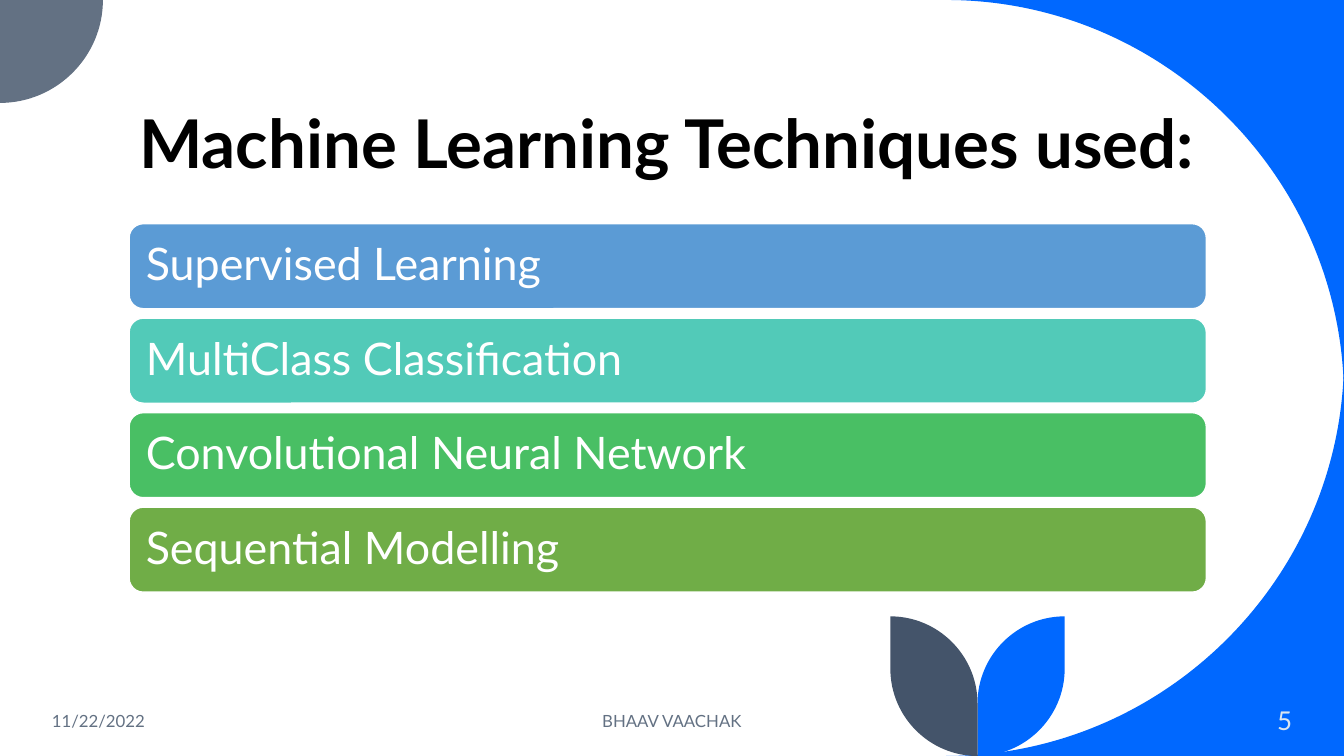
from pptx import Presentation
from pptx.dml.color import RGBColor
from pptx.enum import shapes, text
from pptx.oxml import ns, xmlchemy

PX = 9525
FONT = "Lato"
BLUE = RGBColor(0x00, 0x68, 0xFF)
SLATE = RGBColor(0x63, 0x71, 0x83)
NAVY = RGBColor(0x44, 0x54, 0x6A)
PALE = RGBColor(0xDA, 0xE5, 0xEF)
BLACK = RGBColor(0x00, 0x00, 0x00)
WHITE = RGBColor(0xFF, 0xFF, 0xFF)

WIDTH, HEIGHT = 1280, 720
ROUNDNESS = 0.55  # handle length of a quarter circle, as a share of its radius
TECHNIQUES = [
    ("Supervised Learning", RGBColor(0x5B, 0x9B, 0xD5)),
    ("MultiClass Classification", RGBColor(0x52, 0xCA, 0xB8)),
    ("Convolutional Neural Network", RGBColor(0x49, 0xBF, 0x64)),
    ("Sequential Modelling", RGBColor(0x70, 0xAD, 0x47)),
]


def px(*lengths):
    return [round(length * PX) for length in lengths]


def quarter(start, corner, end):
    """Two handles and the end of a quarter circle that bulges towards corner."""
    handles = [tuple(p + ROUNDNESS * (c - p) for p, c in zip(point, corner))
               for point in (start, end)]
    return handles + [end]


def add_outline(slide, color, start, *segments):
    """Closed outline; a segment of one point is a line, one of three is a curve."""
    builder = slide.shapes.build_freeform(*px(*start))
    builder.add_line_segments([px(*point) for segment in segments for point in segment])
    shape = builder.convert_to_shape()
    lines = iter(shape.element.findall(".//" + ns.qn("a:lnTo")))
    for segment in segments:
        line = next(lines)
        if len(segment) == 3:
            curve = xmlchemy.OxmlElement("a:cubicBezTo")
            line.addprevious(curve)
            for piece in (line, next(lines), next(lines)):
                curve.append(piece[0])
                piece.getparent().remove(piece)
    shape.shadow.inherit = False
    shape.fill.solid()
    shape.fill.fore_color.rgb = color
    shape.line.fill.background()


def style_text(frame, words, size, color, align=text.PP_ALIGN.LEFT, spacing=None):
    frame.word_wrap = True
    frame.auto_size = text.MSO_AUTO_SIZE.NONE
    frame.vertical_anchor = text.MSO_ANCHOR.MIDDLE
    frame.text = words
    paragraph = frame.paragraphs[0]
    paragraph.alignment = align
    paragraph.line_spacing = spacing
    font = paragraph.font
    font.name = FONT
    font.size = round(size * 12700)
    font.color.rgb = color


def add_corner(slide, color, corner, start, bulge, end):
    add_outline(slide, color, corner, [start], quarter(start, bulge, end), [corner])


def add_corners(slide, left, top, right, bottom):
    large, small = 379, 98
    inner = right - large
    add_corner(slide, BLUE, (right, top), (inner, top), (right, top), (right, top + large))
    add_corner(slide, BLUE, (right, bottom), (right, bottom - large), (right, bottom),
               (inner, bottom))
    add_corner(slide, SLATE, (left, top), (left + small, top),
               (left + small, top + small), (left, top + small))


def add_leaves(slide, stem, top, bottom):
    """Two mirrored leaves that meet at the stem."""
    radius = 83
    for color, tip in ((BLUE, stem + radius), (NAVY, stem - radius)):
        shoulder, foot = (tip, bottom - radius), (stem, bottom)
        fork = (stem, top + radius)
        add_outline(slide, color, (tip, top), [shoulder],
                    quarter(shoulder, (tip, bottom), foot), [fork],
                    quarter(fork, (stem, top), (tip, top)))


def add_title(slide, *box):
    title = slide.shapes.title
    title.left, title.top, title.width, title.height = px(*box)
    style_text(title.text_frame, "Machine Learning Techniques used:", 48, BLACK, spacing=0.9)
    title.text_frame.vertical_anchor = text.MSO_ANCHOR.BOTTOM
    title.text_frame.paragraphs[0].font.bold = True


def add_techniques(slide, left, top, width, height):
    gap = 9
    count = len(TECHNIQUES)
    bar_height = (height - gap * (count - 1)) / count
    for index, (name, color) in enumerate(TECHNIQUES):
        bar_top = top + index * (bar_height + gap)
        bar = slide.shapes.add_shape(shapes.MSO_SHAPE.ROUNDED_RECTANGLE,
                                     *px(left, bar_top, width, bar_height))
        bar.shadow.inherit = False
        bar.fill.solid()
        bar.fill.fore_color.rgb = color
        bar.line.color.rgb = WHITE
        bar.line.width = 12700
        style_text(bar.text_frame, name, 32, WHITE, spacing=0.9)
        frame = bar.text_frame
        frame.margin_left, frame.margin_right = px(12, 12)


def add_footer(slide, left, top, width, height):
    align = text.PP_ALIGN
    parts = [
        ("11/22/2022", 0, 288, 12, SLATE, align.LEFT),
        ("BHAAV VAACHAK", 384, 432, 12, SLATE, align.CENTER),
        ("5", width - 174, 174, 18.5, PALE, align.RIGHT),
    ]
    for words, offset, part_width, size, color, alignment in parts:
        box = slide.shapes.add_textbox(*px(left + offset, top, part_width, height))
        style_text(box.text_frame, words, size, color, alignment)


def main():
    presentation = Presentation()
    presentation.slide_width, presentation.slide_height = px(WIDTH, HEIGHT)
    slide = presentation.slides.add_slide(presentation.slide_layouts[5])
    slide.background.fill.solid()
    slide.background.fill.fore_color.rgb = WHITE
    add_corners(slide, 0, 0, WIDTH, HEIGHT)
    add_leaves(slide, 931, 587, HEIGHT)
    add_title(slide, 123, 40, 1026, 139)
    add_techniques(slide, 123, 213, 1026, 351)
    add_footer(slide, 40, 667, 1200, 38)
    presentation.save("out.pptx")


if __name__ == "__main__":
    main()
